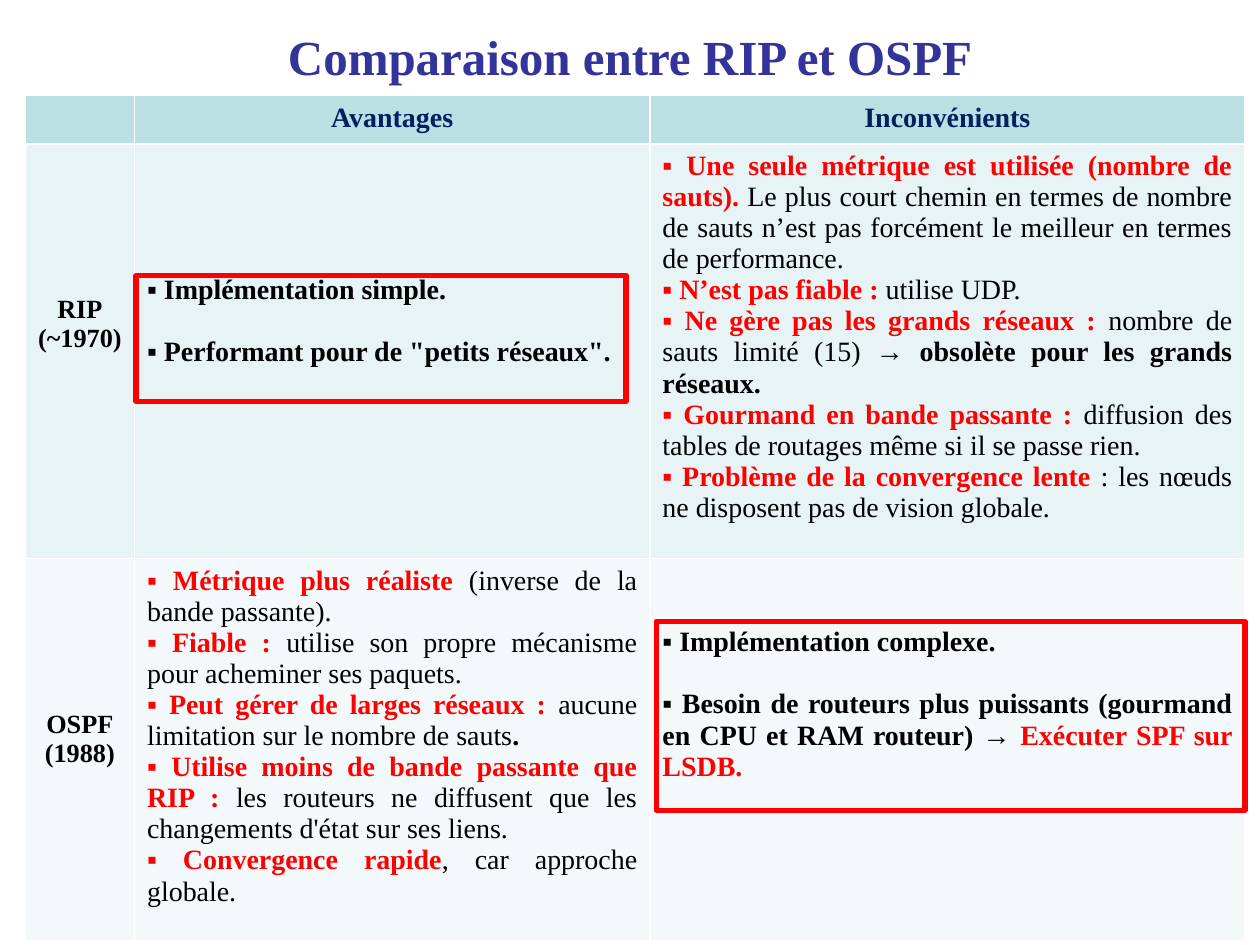
from lxml.etree import SubElement
from pptx import Presentation
from pptx.dml.color import RGBColor
from pptx.enum.shapes import MSO_SHAPE as Shape
from pptx.enum.text import MSO_ANCHOR as Anchor, MSO_AUTO_SIZE as AutoSize, PP_ALIGN as Align
from pptx.oxml.ns import qn
from pptx.util import Pt

RED, BLACK, NAVY, INDIGO = "FF0000", "000000", "002060", "333399"
HEADER, RIP_ROW, OSPF_ROW = "BBE0E3", "E7F3F4", "F3F9FA"
BODY_LINE, LABEL_LINE = 17.7, 16.6


def color(value):
    return RGBColor.from_string(value)


def write(para, text, size=16, bold=False, ink=BLACK, font="Times New Roman"):
    span = para.add_run()
    span.text = text
    span.font.name = font
    span.font.size = Pt(size)
    span.font.bold = bold
    span.font.color.rgb = color(ink)


def key(text, ink=RED):
    return text, {"bold": True, "ink": ink}


def plain(text):
    return text, {}


class SlideBuilder:
    def __init__(self, deck):
        self.page = deck.slides.add_slide(deck.slide_layouts[5])

    def title(self, text, left, top, width, height):
        box = self.page.shapes.title
        box.left, box.top, box.width, box.height = map(Pt, (left, top, width, height))
        frame = box.text_frame
        frame.auto_size = AutoSize.NONE
        frame.vertical_anchor = Anchor.TOP
        frame.margin_top = Pt(6)
        para = frame.paragraphs[0]
        para.alignment = Align.CENTER
        write(para, text, size=28, bold=True, ink=INDIGO)

    def table(self, left, top, widths, heights):
        box = self.page.shapes.add_table(
            len(heights), len(widths), Pt(left), Pt(top), Pt(sum(widths)), Pt(sum(heights)))
        grid = box.table
        for column, width in zip(grid.columns, widths):
            column.width = Pt(width)
        for row, height in zip(grid.rows, heights):
            row.height = Pt(height)
        return grid

    def cell(self, cell, fill, top=3.6, bottom=3.6):
        cell.fill.solid()
        cell.fill.fore_color.rgb = color(fill)
        cell.margin_left = cell.margin_right = Pt(7.2)
        cell.margin_top, cell.margin_bottom = Pt(top), Pt(bottom)
        return cell.text_frame

    def centered(self, frame, lines, **style):
        for index, line in enumerate(lines):
            para = frame.add_paragraph() if index else frame.paragraphs[0]
            para.alignment = Align.CENTER
            write(para, line, bold=True, **style)

    def bullets(self, frame, items, gap=0):
        for index, spans in enumerate(items):
            para = frame.add_paragraph() if index else frame.paragraphs[0]
            para.alignment = Align.JUSTIFY
            if index and gap:
                para.space_before = Pt(gap)
            props = para._p.get_or_add_pPr()
            props.set("marL", "0")
            props.set("indent", "0")
            tint = SubElement(props, qn("a:buClr"))
            SubElement(tint, qn("a:srgbClr")).set("val", spans[0][1]["ink"])
            SubElement(props, qn("a:buFont")).set("typeface", "Times New Roman")
            SubElement(props, qn("a:buChar")).set("char", "▪")
            for text, style in spans:
                write(para, text, **style)

    def frame(self, left, top, width, height):
        box = self.page.shapes.add_shape(
            Shape.RECTANGLE, Pt(left), Pt(top), Pt(width), Pt(height))
        box.shadow.inherit = False
        box.fill.background()
        box.line.color.rgb = color(RED)
        box.line.width = Pt(3)


RIP_PROS = [
    [key(" Implémentation simple.", BLACK)],
    [key(' Performant pour de "petits réseaux".', BLACK)],
]
RIP_CONS = [
    [key(" Une seule métrique est utilisée (nombre de sauts). "),
     plain("Le plus court chemin en termes de nombre de sauts n’est pas forcément "
           "le meilleur en termes de performance.")],
    [key(" N’est pas fiable : "), plain("utilise UDP.")],
    [key(" Ne gère pas les grands réseaux :"), plain(" nombre de sauts limité (15) → "),
     key("obsolète pour les grands réseaux.", BLACK)],
    [key(" Gourmand en bande passante : "),
     plain("diffusion des tables de routages même si il se passe rien.")],
    [key(" Problème de la convergence lente"),
     plain(" : les nœuds ne disposent pas de vision globale.")],
]
OSPF_PROS = [
    [key(" Métrique plus réaliste"), plain(" (inverse de la bande passante).")],
    [key(" Fiable : "), plain("utilise son propre mécanisme pour acheminer ses paquets.")],
    [key(" Peut gérer de larges réseaux : "),
     plain("aucune limitation sur le nombre de sauts"), key(".", BLACK)],
    [key(" Utilise moins de bande passante que RIP : "),
     plain("les routeurs ne diffusent que les changements d'état sur ses liens.")],
    [key(" Convergence rapide"), plain(", car approche globale.")],
]
OSPF_CONS = [
    [key(" Implémentation complexe.", BLACK)],
    [key(" Besoin de routeurs plus puissants (gourmand en CPU et RAM routeur) → ", BLACK),
     key("Exécuter SPF sur LSDB.")],
]


def main():
    deck = Presentation()
    deck.slide_width, deck.slide_height = Pt(720), Pt(540)
    slide = SlideBuilder(deck)
    slide.title("Comparaison entre RIP et OSPF", 36, 9.4, 648, 36.7)

    grid = slide.table(14.4, 54.7, (62.5, 294.5, 340), (26.6, 237, 218.2))
    for column, heading in enumerate(("", "Avantages", "Inconvénients")):
        frame = slide.cell(grid.cell(0, column), HEADER, bottom=2)
        if heading:
            slide.centered(frame, [heading], ink=NAVY)

    rows = [
        (RIP_ROW, ["RIP", "(~1970)"], (RIP_PROS, 4, BODY_LINE), (RIP_CONS, 0, 0)),
        (OSPF_ROW, ["OSPF", "(1988)"], (OSPF_PROS, 0, 0), (OSPF_CONS, 2, BODY_LINE)),
    ]
    for row, (fill, label, *columns) in enumerate(rows, start=1):
        frame = slide.cell(grid.cell(row, 0), fill, top=3.6 + 5 * LABEL_LINE)
        slide.centered(frame, label, size=15)
        for column, (items, skipped, gap) in enumerate(columns, start=1):
            frame = slide.cell(grid.cell(row, column), fill, top=3.6 + skipped * BODY_LINE)
            slide.bullets(frame, items, gap)

    slide.frame(77.8, 157.5, 280, 72)
    slide.frame(375, 355, 336.5, 108)
    deck.save("out.pptx")


if __name__ == "__main__":
    main()
